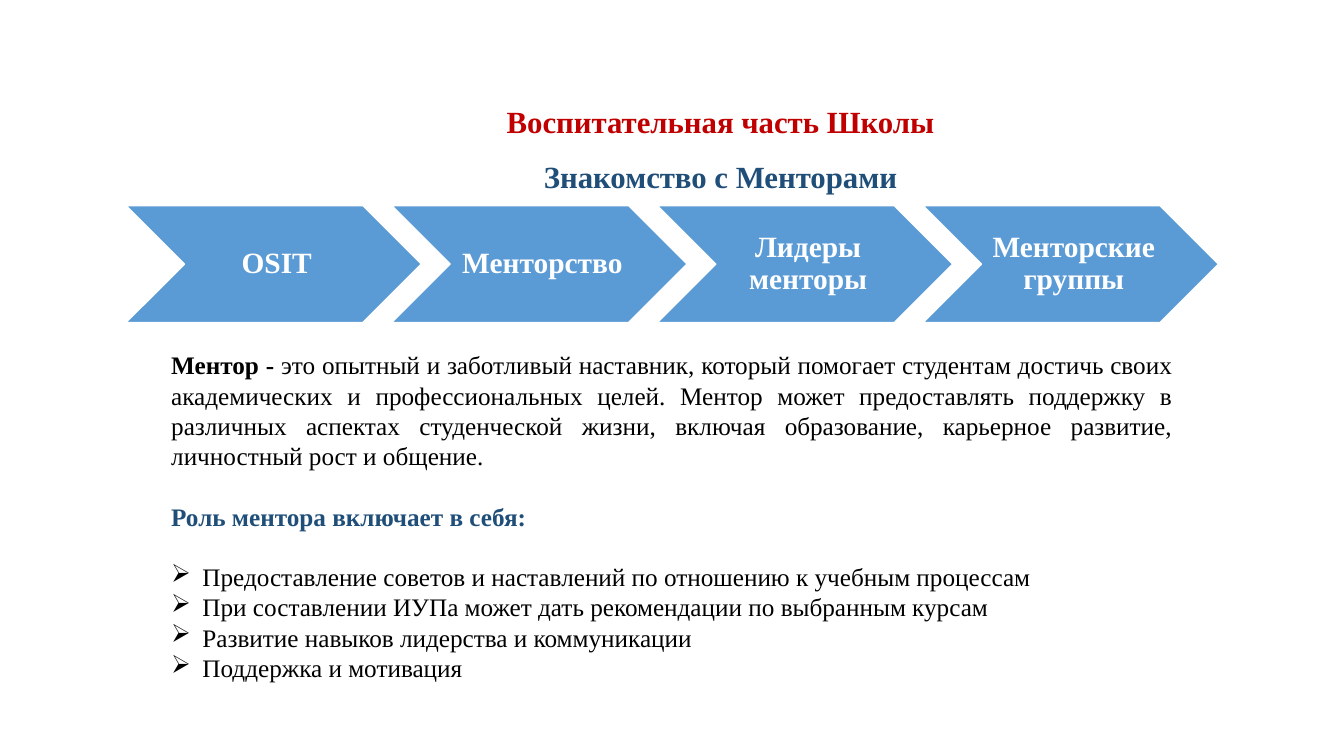
import pptx
import pptx.dml.color
import pptx.enum.shapes
import pptx.enum.text
import pptx.util
from lxml import etree

Inches = pptx.util.Inches
Pt = pptx.util.Pt
ALIGN = pptx.enum.text.PP_ALIGN
DRAWING = "http://schemas.openxmlformats.org/drawingml/2006/main"

RED, NAVY, BLUE, WHITE, BLACK = "C00000", "1F4E79", "5B9BD5", "FFFFFF", "000000"


def color(value):
    return pptx.dml.color.RGBColor.from_string(value)


def apply(target, formats):
    for name, value in formats.items():
        setattr(target, name, value)


class SlideBuilder:
    """Holds the text style and the slide being built."""

    font_name = "Times New Roman"

    def __init__(self, slide):
        self.slide = slide

    def run(self, paragraph, text, size, text_color, bold=False):
        run = paragraph.add_run()
        run.text = text
        apply(run.font, {"name": self.font_name, "size": Pt(size), "bold": bold})
        run.font.color.rgb = color(text_color)

    def text_box(self, left, top, width, height):
        shape = self.slide.shapes.add_textbox(
            Inches(left), Inches(top), Inches(width), Inches(height))
        shape.text_frame.word_wrap = True
        return shape.text_frame

    def heading(self, text, top, text_color):
        paragraph = self.text_box(2.3, top, 9.69, 0.47).paragraphs[0]
        paragraph.alignment = ALIGN.CENTER
        self.run(paragraph, text, 22, text_color, bold=True)

    def chevron(self, text, left, top, width, height):
        shape = self.slide.shapes.add_shape(
            pptx.enum.shapes.MSO_SHAPE.CHEVRON,
            Inches(left), Inches(top), Inches(width), Inches(height))
        shape.shadow.inherit = False
        shape.fill.solid()
        shape.fill.fore_color.rgb = color(BLUE)
        shape.line.color.rgb = color(WHITE)
        shape.line.width = Pt(1)
        apply(shape.text_frame, {
            "word_wrap": True,
            "vertical_anchor": pptx.enum.text.MSO_ANCHOR.MIDDLE,
            "margin_left": Inches(0.09), "margin_right": Inches(0.03),
            "margin_top": Inches(0.03), "margin_bottom": Inches(0.03)})
        paragraph = shape.text_frame.paragraphs[0]
        apply(paragraph, {"alignment": ALIGN.CENTER, "line_spacing": 0.9,
                          "space_after": Pt(9)})
        self.run(paragraph, text, 21, WHITE, bold=True)

    def body_paragraph(self, paragraph, runs, gap=0, bullet=None):
        apply(paragraph, {"alignment": ALIGN.JUSTIFY, "space_before": Pt(gap)})
        if bullet:
            properties = paragraph._p.get_or_add_pPr()
            properties.set("marL", str(Inches(0.31)))
            properties.set("indent", str(Inches(-0.31)))
            mark = etree.SubElement(properties, f"{{{DRAWING}}}buChar")
            mark.set("char", bullet)
        for text, text_color, bold in runs:
            self.run(paragraph, text, 18, text_color, bold)


def main():
    presentation = pptx.Presentation()
    presentation.slide_width = Inches(13.33)
    presentation.slide_height = Inches(7.5)
    builder = SlideBuilder(
        presentation.slides.add_slide(presentation.slide_layouts[6]))

    # Headings
    builder.heading("Воспитательная часть Школы", 0.97, RED)
    builder.heading("Знакомство с Менторами", 1.52, NAVY)

    # Row of chevrons
    steps = ["OSIT", "Менторство", "Лидеры менторы", "Менторские группы"]
    for index, step in enumerate(steps):
        builder.chevron(step, 1.25 + 2.635 * index, 2.04, 2.93, 1.16)

    # Definition and role of a mentor
    frame = builder.text_box(1.6, 3.42, 10.13, 4.34)
    line_gap = 21.6
    builder.body_paragraph(frame.paragraphs[0], [
        ("Ментор - ", BLACK, True),
        ("это опытный и заботливый наставник, который помогает студентам "
         "достичь своих академических и профессиональных целей. Ментор может "
         "предоставлять поддержку в различных аспектах студенческой жизни, "
         "включая образование, карьерное развитие, личностный рост и общение.",
         BLACK, False)])
    builder.body_paragraph(frame.add_paragraph(), [
        ("Роль ментора включает в себя:", NAVY, True)], gap=line_gap)

    # Bulleted duties
    duties = [
        "Предоставление советов и наставлений по отношению к учебным процессам",
        "При составлении ИУПа может дать рекомендации по выбранным курсам",
        "Развитие навыков лидерства и коммуникации",
        "Поддержка и мотивация",
    ]
    for index, duty in enumerate(duties):
        builder.body_paragraph(
            frame.add_paragraph(), [(duty, BLACK, False)],
            gap=0 if index else line_gap, bullet="➢")

    presentation.save("out.pptx")


if __name__ == "__main__":
    main()
